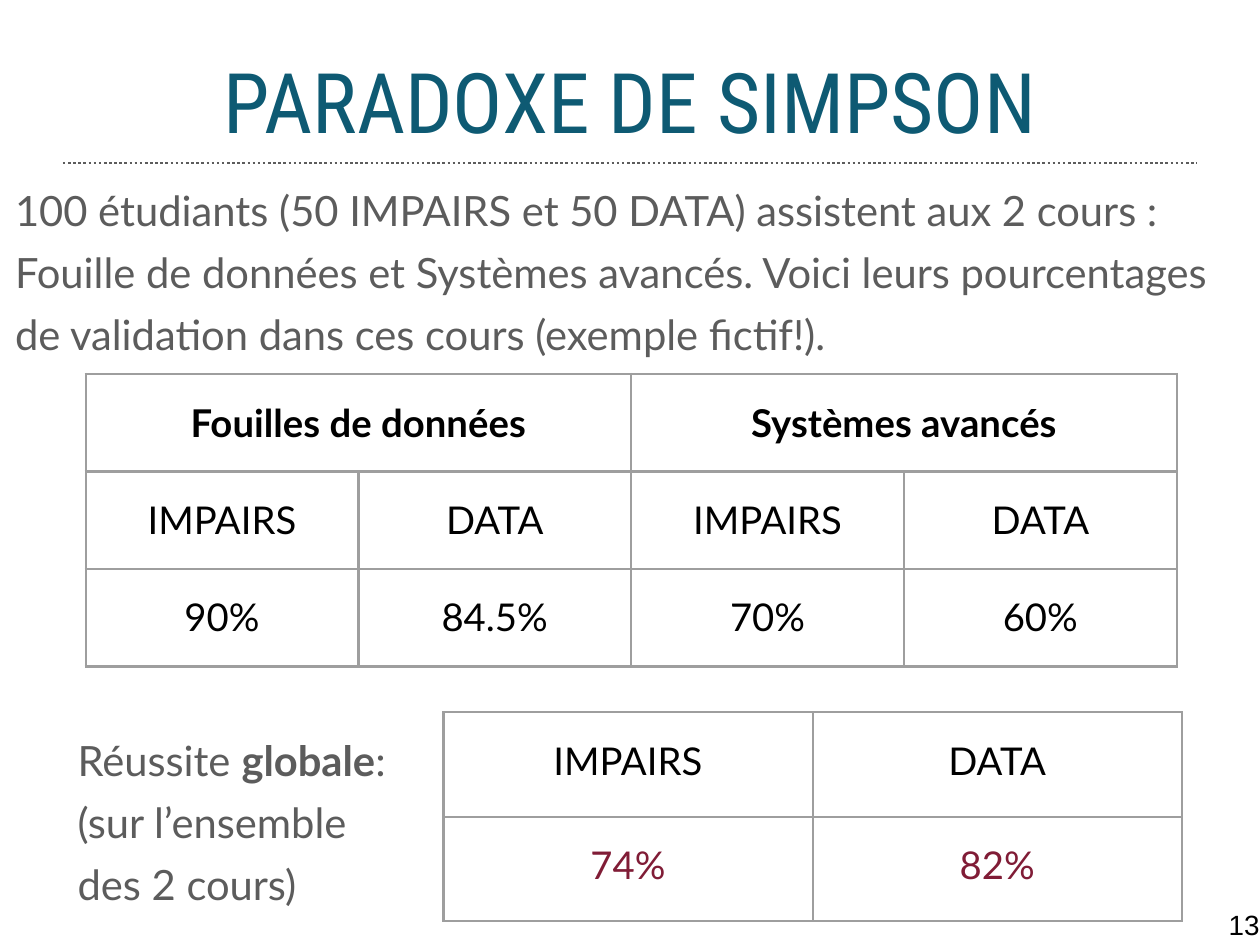
from lxml import etree
from pptx import Presentation
from pptx import util as u
from pptx.dml.color import RGBColor
from pptx.enum import dml, shapes, text
from pptx.oxml import parse_xml
from pptx.oxml.ns import nsdecls, qn

TEAL, GREY, BLACK, WINE, BORDER = "0E5A73", "5C5C5C", "000000", "801C36", "9E9E9E"


def rgb(value):
    return RGBColor.from_string(value)


class Deck:
    """Style and current slide; positions are percentages of the slide size."""

    body_font = "Lato"
    title_font = "Roboto Condensed"

    def __init__(self, width, height):
        self.prs = Presentation()
        self.prs.slide_width, self.prs.slide_height = u.Inches(width), u.Inches(height)
        self.slide = self.prs.slides.add_slide(self.prs.slide_layouts[5])

    def box(self, x, y, w, h):
        across, down = self.prs.slide_width / 100, self.prs.slide_height / 100
        return [u.Emu(round(n)) for n in (x * across, y * down, w * across, h * down)]

    def style(self, paragraph, size, color, font=None, bold=False):
        paragraph.font.name = font or self.body_font
        paragraph.font.size = u.Pt(size)
        paragraph.font.bold = bold
        paragraph.font.color.rgb = rgb(color)

    def margins(self, frame, inset):
        frame.margin_left = frame.margin_right = u.Inches(inset)
        frame.margin_top = frame.margin_bottom = u.Inches(inset)

    def title(self, words, area):
        holder = self.slide.shapes.title
        holder.left, holder.top, holder.width, holder.height = self.box(*area)
        frame = holder.text_frame
        self.margins(frame, 0.1)
        frame.auto_size = text.MSO_AUTO_SIZE.NONE
        frame.vertical_anchor = text.MSO_ANCHOR.MIDDLE
        frame.text = words
        frame.paragraphs[0].alignment = text.PP_ALIGN.CENTER
        self.style(frame.paragraphs[0], 24, TEAL, self.title_font)

    def rule(self, left, right, y):
        x, top, width, _ = self.box(left, y, right - left, 0)
        line = self.slide.shapes.add_connector(
            shapes.MSO_CONNECTOR.STRAIGHT, x, top, x + width, top)
        line.line.color.rgb = rgb(GREY)
        line.line.width = u.Pt(0.75)
        line.line.dash_style = dml.MSO_LINE.ROUND_DOT
        etree.SubElement(line._element.spPr, qn("a:effectLst"))

    def text(self, paragraphs, area, size=12, color=GREY, font=None,
             spacing=1.24, inset=0, anchor=text.MSO_ANCHOR.TOP, wrap=True):
        """Each paragraph is a list of (words, bold) runs."""
        frame = self.slide.shapes.add_textbox(*self.box(*area)).text_frame
        frame.word_wrap = wrap
        frame.vertical_anchor = anchor
        self.margins(frame, inset)
        for i, runs in enumerate(paragraphs):
            paragraph = frame.add_paragraph() if i else frame.paragraphs[0]
            paragraph.line_spacing = spacing
            self.style(paragraph, size, color, font)
            for j, (words, bold) in enumerate(runs):
                if len(runs) == 1:
                    paragraph.text = words
                else:
                    run = paragraph.add_run()
                    run.text, run.font.bold = words, bold

    def borders(self, cell):
        properties = cell._tc.get_or_add_tcPr()
        for side in "LRTB":
            properties.append(parse_xml(
                f'<a:ln{side} {nsdecls("a")} w="9525"><a:solidFill>'
                f'<a:srgbClr val="{BORDER}"/></a:solidFill></a:ln{side}>'))

    def table(self, rows, area, bold_row=None, color_row=None):
        """None in a row extends the cell on its left."""
        x, y, w, h = self.box(*area)
        table = self.slide.shapes.add_table(len(rows), len(rows[0]), x, y, w, h).table
        table.first_row = table.horz_banding = False
        for r, row in enumerate(rows):
            for c, words in enumerate(row):
                cell = table.cell(r, c)
                self.borders(cell)
                cell.fill.background()
                self.margins(cell, 0.1)
                if words is None:
                    table.cell(r, c - 1).merge(cell)
                    continue
                paragraph = cell.text_frame.paragraphs[0]
                paragraph.text = words
                paragraph.alignment = text.PP_ALIGN.CENTER
                self.style(paragraph, 11, WINE if r == color_row else BLACK,
                           bold=r == bold_row)


def main():
    deck = Deck(5.03, 3.78)

    # Heading
    deck.rule(5, 95, 17.2)
    deck.title("PARADOXE DE SIMPSON", (0, 0, 100, 21.2))

    # Introduction
    deck.text([[("100 étudiants (50 IMPAIRS et 50 DATA) assistent aux 2 cours :\n"
                 "Fouille de données et Systèmes avancés. Voici leurs pourcentages "
                 "de validation dans ces cours (exemple fictif!).", False)]],
              (1.2, 18.25, 98.8, 21.2))

    # Pass rates by course
    groups = ["IMPAIRS", "DATA"]
    deck.table([["Fouilles de données", None, "Systèmes avancés", None],
                groups * 2,
                ["90%", "84.5%", "70%", "60%"]],
               (6.8, 39.5, 86.6, 30.9), bold_row=0)

    # Overall pass rates
    deck.text([[("Réussite ", False), ("globale", True), (":", False)],
               [("(sur l’ensemble des 2 cours)", False)]],
              (4.2, 75.2, 31, 22), inset=0.1, anchor=text.MSO_ANCHOR.MIDDLE)
    deck.table([groups, ["74%", "82%"]], (35.2, 75.2, 58.6, 22.1), color_row=1)

    # Page number
    deck.text([[("13", False)]], (97.5, 95.3, 2.5, 3.7), size=8, color=BLACK,
              font="Arial", spacing=1.15, wrap=False)

    deck.prs.save("out.pptx")


if __name__ == "__main__":
    main()
